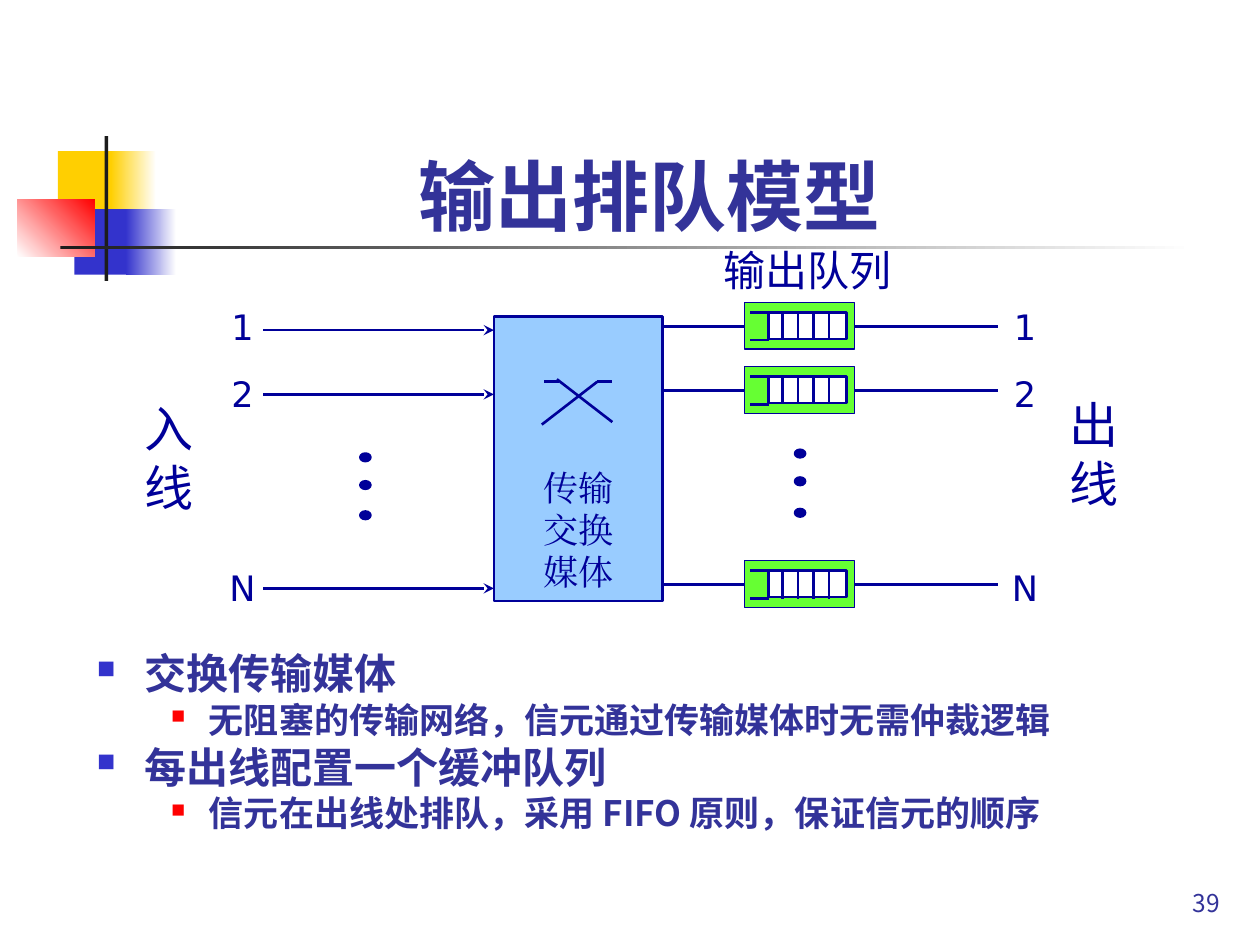
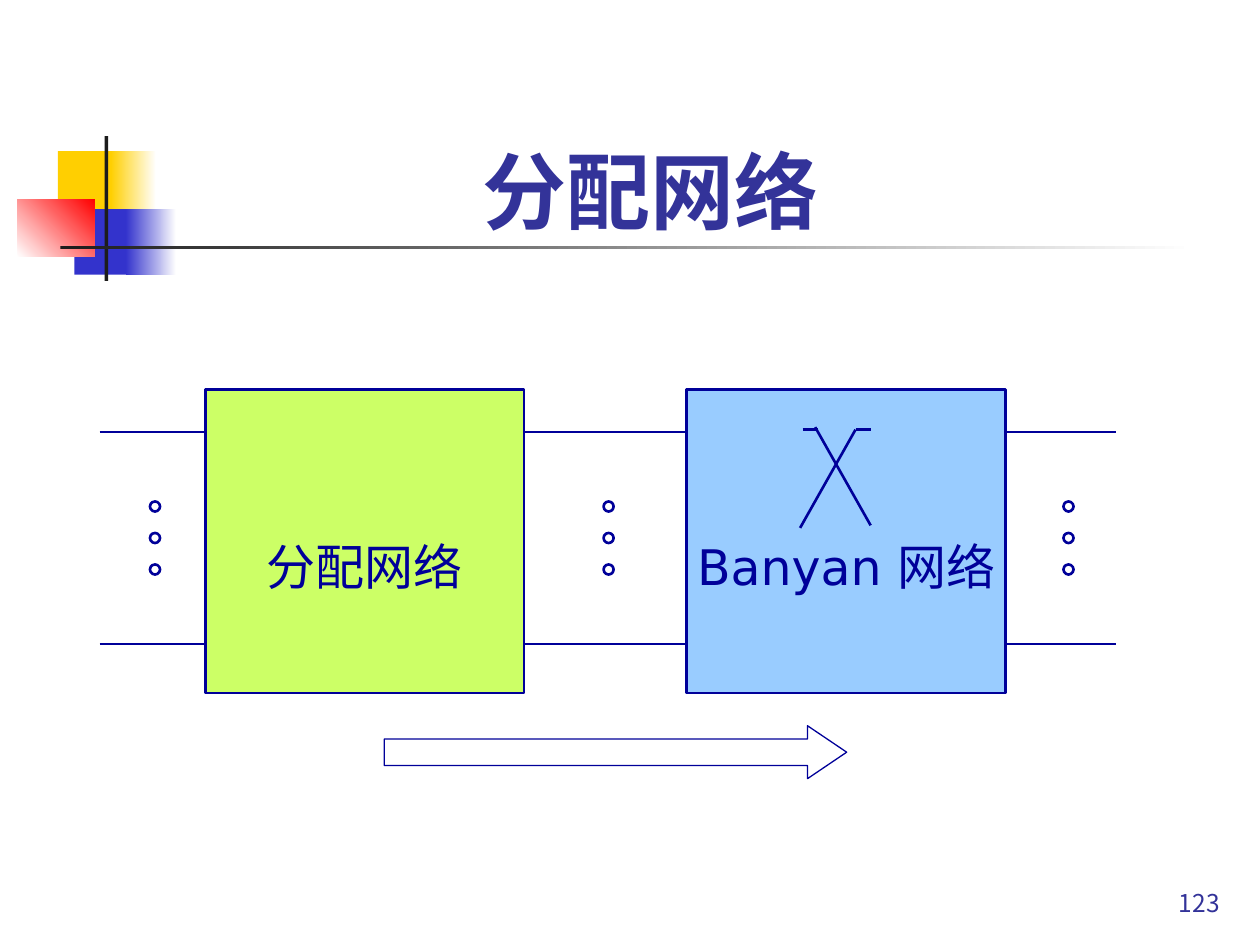
import pptx
import pptx.util
import pptx.dml.color
import pptx.enum.shapes
import pptx.enum.text
import pptx.oxml
import pptx.oxml.ns

Inches = pptx.util.Inches
Pt = pptx.util.Pt
SHAPE = pptx.enum.shapes.MSO_SHAPE
ALIGN = pptx.enum.text.PP_ALIGN
ANCHOR = pptx.enum.text.MSO_ANCHOR

COLORS = {
    "white": "FFFFFF", "ink": "000099", "text": "333399", "dark": "1C1C1C",
    "yellow": "FFCF01", "blue": "3333CC", "red": "FF0000",
    "sky": "99CCFF", "green": "66FF33", "lime": "CCFF66",
}
HEADING = "Noto Sans CJK JP"
LABEL = "DejaVu Sans"
MEDIUM = "Times New Roman"
NO_INSETS = (0, 0, 0, 0)
INSETS = (0.1, 0.05, 0.1, 0.05)


def rgb(name):
    return pptx.dml.color.RGBColor.from_string(COLORS[name])


def add_xml(parent, tag, inner="", **attrs):
    """Append one DrawingML element to parent."""
    pairs = "".join(f' {key}="{value}"' for key, value in attrs.items())
    namespace = pptx.oxml.ns.nsdecls("a")
    parent.append(pptx.oxml.parse_xml(f"<a:{tag} {namespace}{pairs}>{inner}</a:{tag}>"))


# Basic elements
def add_box(slide, at, fill, line=None, width=1.5, kind=SHAPE.RECTANGLE):
    sp = slide.shapes.add_shape(kind, *map(Inches, at))
    sp.shadow.inherit = False
    sp.fill.solid()
    sp.fill.fore_color.rgb = rgb(fill)
    if line:
        sp.line.color.rgb = rgb(line)
        sp.line.width = Pt(width)
    else:
        sp.line.fill.background()
    return sp


def add_gradient(slide, at, start, end, angle=0):
    sp = add_box(slide, at, start)
    sp.fill.gradient()
    sp.fill.gradient_angle = angle
    for stop, color in zip(sp.fill.gradient_stops, (start, end)):
        stop.color.rgb = rgb(color)


def add_line(slide, x1, y1, x2, y2, arrow=False):
    ln = slide.shapes.add_connector(
        pptx.enum.shapes.MSO_CONNECTOR.STRAIGHT, *map(Inches, (x1, y1, x2, y2)))
    ln.line.color.rgb = rgb("ink")
    ln.line.width = Pt(1.5)
    if arrow:
        add_xml(ln.line._get_or_add_ln(), "tailEnd", type="stealth")
    add_xml(ln._element.spPr, "effectLst")


def add_run(p, text, size, font, color="ink", bold=False):
    r = p.add_run()
    r.text = text
    r.font.size = Pt(size)
    r.font.bold = bold
    r.font.name = font
    r.font.color.rgb = rgb(color)
    add_xml(r._r.get_or_add_rPr(), "ea", typeface=font)


def set_frame(tf, insets, anchor, wrap=True):
    tf.word_wrap = wrap
    tf.vertical_anchor = anchor
    tf.margin_left, tf.margin_top, tf.margin_right, tf.margin_bottom = map(Inches, insets)


def write_lines(tf, lines, size, font, color="ink", bold=False, align=ALIGN.CENTER):
    for i, text in enumerate(lines):
        p = tf.paragraphs[0] if i == 0 else tf.add_paragraph()
        p.alignment = align
        add_run(p, text, size, font, color, bold)


def add_text(slide, at, lines, size, font=LABEL, insets=INSETS, anchor=ANCHOR.MIDDLE, **style):
    tf = slide.shapes.add_textbox(*map(Inches, at)).text_frame
    set_frame(tf, insets, anchor)
    write_lines(tf, lines, size, font, **style)


# Shared frame: corner ornament, title, page number
def add_frame(prs, title, title_size, number):
    slide = prs.slides.add_slide(prs.slide_layouts[6])
    add_box(slide, (0.46, 1.2, 0.48, 0.52), "yellow")
    add_gradient(slide, (0.88, 1.2, 0.36, 0.52), "yellow", "white")
    add_box(slide, (0.59, 1.66, 0.46, 0.52), "blue")
    add_gradient(slide, (1, 1.66, 0.4, 0.52), "blue", "white")
    add_gradient(slide, (0.14, 1.58, 0.61, 0.46), "white", "red", 45)
    add_box(slide, (0.83, 1.08, 0.03, 1.15), "dark")
    add_gradient(slide, (0.48, 1.95, 9, 0.03), "dark", "white")
    add_text(slide, (7.7, 6.83, 2.08, 0.5), [number], 14, HEADING,
             anchor=ANCHOR.BOTTOM, color="text", align=ALIGN.RIGHT)
    add_text(slide, (0.9, 0.36, 8.52, 1.6), [title], title_size, HEADING,
             anchor=ANCHOR.BOTTOM, color="text", bold=True)
    return slide


# Diagram parts
def add_dots(slide, left, tops, height, fill):
    for top in tops:
        add_box(slide, (left, top, 0.08, height), fill, "ink", kind=SHAPE.OVAL)


def add_switch_symbol(slide, left, top, height):
    right, bottom = left + 0.54, top + height
    add_line(slide, left, top, left + 0.12, top)
    add_line(slide, left + 0.1, top - 0.02, right, bottom - 0.02)
    add_line(slide, left - 0.02, bottom, right - 0.12, top)
    add_line(slide, right - 0.12, top, right, top)


def add_queue(slide, y):
    """Draw an output buffer whose wire runs at height y."""
    top, bottom = y - 0.11, y + 0.11
    add_line(slide, 5.26, y, 5.91, y)
    add_line(slide, 6.77, y, 7.92, y)
    add_box(slide, (5.91, y - 0.19, 0.87, 0.37), "green", "ink", 0.75)
    add_box(slide, (6.1, top, 0.62, 0.21), "white", "ink")
    for edge in (top, bottom):
        add_line(slide, 6.1, edge, 5.95, edge)
    for i in range(4):
        x = 6.21 + 0.123 * i
        add_line(slide, x, top, x, bottom)


def add_network(slide, left, fill, name):
    sp = add_box(slide, (left, 3.09, 2.53, 2.41), fill, "ink")
    set_frame(sp.text_frame, (0.1, 0.44, 0.1, 0.05), ANCHOR.MIDDLE, wrap=False)
    write_lines(sp.text_frame, [name], 28, LABEL)


def add_bullets(slide, at, items):
    # size, space before, left margin, hanging indent, bullet colour, bullet percent
    levels = [(24, 6, 0.38, 0.38, "blue", 60), (20, 5, 0.89, 0.3, "red", 55)]
    tf = slide.shapes.add_textbox(*map(Inches, at)).text_frame
    set_frame(tf, INSETS, ANCHOR.TOP)
    for i, (level, text) in enumerate(items):
        size, before, margin, hanging, color, percent = levels[level]
        p = tf.paragraphs[0] if i == 0 else tf.add_paragraph()
        p.level = level
        p.line_spacing = 0.8
        p.space_before = Pt(before)
        pPr = p._p.get_or_add_pPr()
        pPr.set("marL", str(Inches(margin)))
        pPr.set("indent", str(-Inches(hanging)))
        add_xml(pPr, "buClr", f'<a:srgbClr val="{COLORS[color]}"/>')
        add_xml(pPr, "buSzPct", val=percent * 1000)
        add_xml(pPr, "buChar", char="■")
        add_run(p, text, size, HEADING, "text", True)


def build_output_queueing(prs):
    slide = add_frame(prs, "输出排队模型", 44, "39")
    # Switching medium
    add_box(slide, (3.92, 2.51, 1.34, 2.26), "sky", "ink")
    add_switch_symbol(slide, 4.32, 3.03, 0.34)
    add_text(slide, (3.92, 3.65, 1.34, 1.1), ["传输", "交换", "媒体"], 20, MEDIUM)
    # Ports
    for name, y in (("1", 2.59), ("2", 3.1), ("N", 4.64)):
        label_top = y - (0.16 if name == "1" else 0.14)
        for left in (1.75, 7.96):
            add_text(slide, (left, label_top, 0.35, 0.33), [name], 20, insets=NO_INSETS)
        add_line(slide, 2.09, y + 0.03, 3.92, y + 0.03, arrow=True)
        add_queue(slide, y)
    add_dots(slide, 2.86, (3.6, 3.82, 4.06), 0.06, "ink")
    add_dots(slide, 6.31, (3.57, 3.79, 4.04), 0.06, "ink")
    # Side labels
    add_text(slide, (0.98, 3.11, 0.72, 1.04), ["入线"], 28)
    add_text(slide, (8.36, 3.08, 0.65, 1.04), ["出线"], 28)
    add_text(slide, (5.49, 1.94, 1.84, 0.4), ["输出队列"], 24, insets=NO_INSETS)
    add_bullets(slide, (0.67, 5.17, 9.06, 1.5), [
        (0, "交换传输媒体"),
        (1, "无阻塞的传输网络，信元通过传输媒体时无需仲裁逻辑"),
        (0, "每出线配置一个缓冲队列"),
        (1, "信元在出线处排队，采用 FIFO 原则，保证信元的顺序"),
    ])


def build_distribution_network(prs):
    slide = add_frame(prs, "分配网络", 48, "123")
    # Wires run behind both networks
    for y in (3.43, 5.11):
        add_line(slide, 0.79, y, 8.86, y)
    add_network(slide, 1.63, "lime", "分配网络")
    add_network(slide, 5.45, "sky", "Banyan 网络")
    for left in (1.19, 4.79, 8.44):
        add_dots(slide, left, (3.98, 4.23, 4.48), 0.08, "white")
    add_switch_symbol(slide, 6.37, 3.41, 0.78)
    # Direction of flow
    arrow = add_box(slide, (3.05, 5.76, 3.67, 0.42), "white", "ink", 0.75, SHAPE.RIGHT_ARROW)
    arrow.adjustments[0] = 0.5
    arrow.adjustments[1] = 0.74


def main():
    prs = pptx.Presentation()
    prs.slide_width, prs.slide_height = Inches(10), Inches(7.5)
    build_output_queueing(prs)
    build_distribution_network(prs)
    prs.save("out.pptx")


if __name__ == "__main__":
    main()
